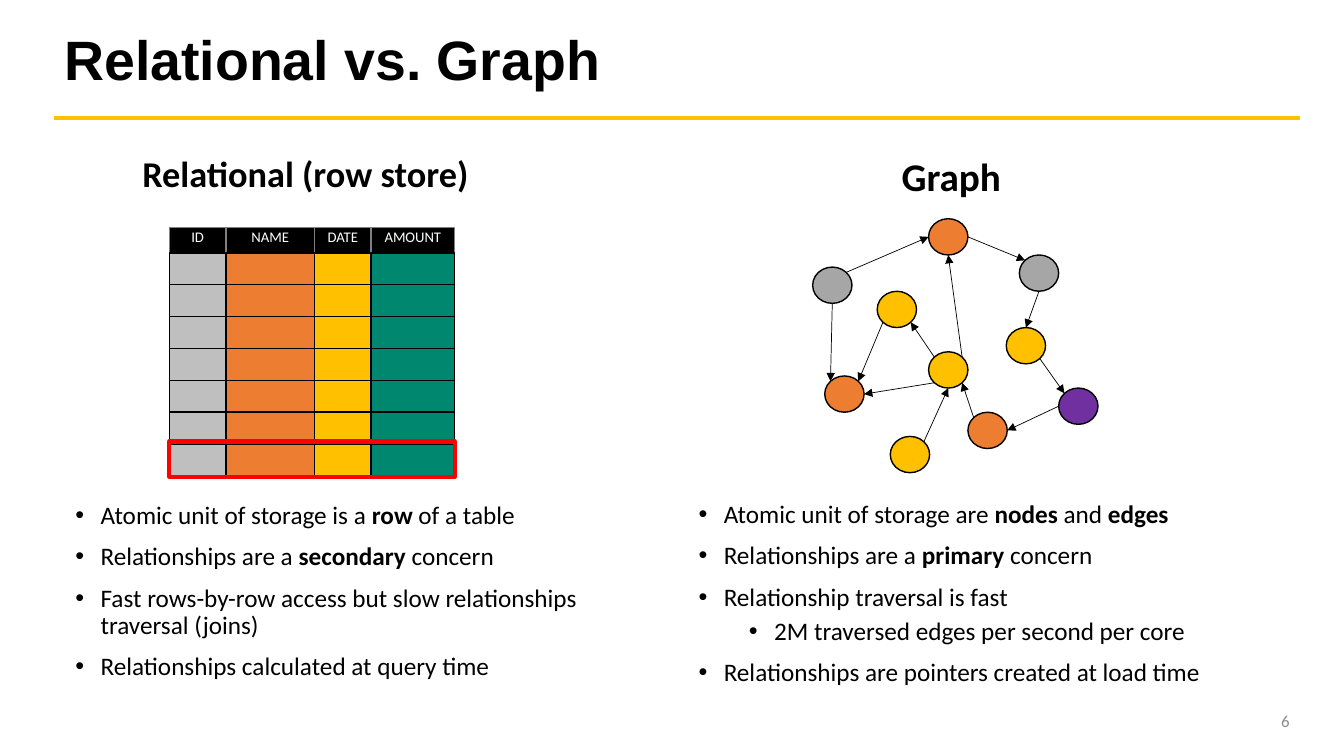
import math

import pptx
import pptx.dml.color
import pptx.enum.shapes
import pptx.enum.text
import pptx.oxml.ns
import pptx.util
from lxml import etree

Inches, Pt = pptx.util.Inches, pptx.util.Pt
SHAPE = pptx.enum.shapes.MSO_SHAPE
ALIGN = pptx.enum.text.PP_ALIGN
ANCHOR = pptx.enum.text.MSO_ANCHOR
qn = pptx.oxml.ns.qn

C = {
    "black": "000000", "white": "FFFFFF", "gold": "FFC000", "orange": "ED7D31",
    "silver": "BFBFBF", "grey": "A6A6A6", "border": "808080", "number": "8C8C8C",
    "green": "008770", "purple": "7030A0", "red": "FF0000",
}


def rgb(name):
    return pptx.dml.color.RGBColor.from_string(C[name])


def add_run(p, text, size, color="black", bold=False, font="Calibri"):
    r = p.add_run()
    r.text = text
    r.font.name, r.font.size, r.font.bold = font, Pt(size), bold
    r.font.color.rgb = rgb(color)


def add_box(s, box, anchor=ANCHOR.TOP):
    tf = s.shapes.add_textbox(*map(Inches, box)).text_frame
    tf.word_wrap = True
    tf.vertical_anchor = anchor
    return tf


def add_shape(s, kind, box, fill, line, width=1):
    sp = s.shapes.add_shape(kind, *map(Inches, box))
    sp.shadow.inherit = False
    if fill:
        sp.fill.solid()
        sp.fill.fore_color.rgb = rgb(fill)
    else:
        sp.fill.background()
    sp.line.color.rgb = rgb(line)
    sp.line.width = Pt(width)
    return sp


def add_line(s, start, end, color, width, arrow=False):
    ln = s.shapes.add_connector(pptx.enum.shapes.MSO_CONNECTOR.STRAIGHT,
                                *map(Inches, (*start, *end)))
    ln.line.color.rgb = rgb(color)
    ln.line.width = Pt(width)
    if arrow:
        etree.SubElement(ln.line._get_or_add_ln(), qn("a:tailEnd"), type="triangle")
    etree.SubElement(ln._element.spPr, qn("a:effectLst"))


def add_heading(s, box, text, size, spacing):
    p = add_box(s, box).paragraphs[0]
    p.alignment, p.line_spacing = ALIGN.CENTER, spacing
    add_run(p, text, size, bold=True)


def add_bullets(s, box, items):
    """Each item is a level and its text pieces; every second piece is bold."""
    tf = add_box(s, box)
    for i, (level, *pieces) in enumerate(items):
        p = tf.paragraphs[0] if i == 0 else tf.add_paragraph()
        p.level = level
        pPr = p._p.get_or_add_pPr()
        pPr.set("marL", str(Inches(0.25 + 0.5 * level)))
        pPr.set("indent", str(Inches(-0.25)))
        etree.SubElement(pPr, qn("a:buFont"), typeface="Arial")
        etree.SubElement(pPr, qn("a:buChar"), char="•")
        p.line_spacing = 0.9
        if i:
            p.space_before = Pt(5 if level else 10)
        for j, piece in enumerate(pieces):
            add_run(p, piece, 18, bold=j % 2 == 1)


def add_frame(s, box):
    # Title, rule and slide number
    x, y, w, h = box
    p = add_box(s, (x, y, w, 0.73), ANCHOR.MIDDLE).paragraphs[0]
    p.line_spacing = 0.9
    add_run(p, "Relational vs. Graph", 39.6, bold=True, font="Arial")
    add_line(s, (x, y + 0.91), (x + w, y + 0.91), "gold", 3)
    p = add_box(s, (x + w - 3, y + h - 0.4, 3, 0.4), ANCHOR.MIDDLE).paragraphs[0]
    p.alignment = ALIGN.RIGHT
    add_run(p, "6", 12, "number")


def add_row_store(s, box):
    # Columns of coloured cells under a black header, last row outlined
    x, y, w, h = box
    header, rows = 0.25, 7
    row = (h - header) / rows
    columns = [("ID", 0.56, "silver"), ("NAME", 0.88, "orange"),
               ("DATE", 0.56, "gold"), ("AMOUNT", 0.83, "green")]
    left = x
    for name, width, color in columns:
        sp = add_shape(s, SHAPE.RECTANGLE, (left, y, width, header), "black", "border")
        tf = sp.text_frame
        tf.margin_top = tf.margin_bottom = 0
        tf.vertical_anchor = ANCHOR.TOP
        tf.word_wrap = False
        tf.paragraphs[0].alignment = ALIGN.CENTER
        add_run(tf.paragraphs[0], name, 10.5, "white")
        for i in range(rows):
            top = y + header + i * row
            add_shape(s, SHAPE.RECTANGLE, (left, top, width, row), color, "black")
        left += width
    add_shape(s, SHAPE.RECTANGLE, (x, y + h - 0.34, w, 0.35), None, "red", 3)


def add_graph(s, box):
    # Nodes, placed by offset from the corner of the box
    x, y = box[:2]
    w, h = 0.39, 0.36
    nodes = {
        "top": (1.15, 0, "orange"), "middle": (0.64, 0.72, "gold"),
        "hub": (1.15, 1.32, "gold"), "east": (2.05, 0.36, "grey"),
        "southeast": (1.92, 1.08, "gold"), "west": (0.12, 1.56, "orange"),
        "south": (1.54, 1.92, "orange"), "northwest": (0, 0.48, "grey"),
        "corner": (2.44, 1.68, "purple"), "bottom": (0.77, 2.16, "gold"),
    }
    for dx, dy, color in nodes.values():
        add_shape(s, SHAPE.OVAL, (x + dx, y + dy, w, h), color, "black")

    # Edges run between compass points on the node outlines
    compass = ["E", "SE", "S", "SW", "W", "NW", "N", "NE"]

    def site(node, point):
        dx, dy, _ = nodes[node]
        a = compass.index(point) * math.pi / 4
        return (x + dx + w / 2 * (1 + math.cos(a)),
                y + dy + h / 2 * (1 + math.sin(a)))

    edges = [
        ("northwest", "NE", "top", "W"), ("top", "E", "east", "NW"),
        ("east", "S", "southeast", "N"), ("southeast", "SE", "corner", "NW"),
        ("corner", "W", "south", "E"), ("south", "NW", "hub", "SE"),
        ("hub", "NW", "middle", "SE"), ("middle", "SW", "west", "NE"),
        ("northwest", "S", "west", "NW"), ("hub", "NE", "top", "S"),
        ("hub", "SW", "west", "E"), ("bottom", "NE", "hub", "S"),
    ]
    for a, a_point, b, b_point in edges:
        add_line(s, site(a, a_point), site(b, b_point), "black", 0.5, arrow=True)


def main():
    prs = pptx.Presentation()
    prs.slide_width, prs.slide_height = Inches(13.33), Inches(7.5)
    s = prs.slides.add_slide(prs.slide_layouts[6])
    add_frame(s, (0.54, 0.26, 12.35, 7.09))

    # Left half: relational
    add_heading(s, (1.2, 1.5, 3.66, 0.51), "Relational (row store)", 25.9, 0.9)
    add_row_store(s, (1.68, 2.26, 2.83, 2.46))
    add_bullets(s, (0.65, 4.94, 5.37, 1.79), [
        (0, "Atomic unit of storage is a ", "row", " of a table"),
        (0, "Relationships are a ", "secondary", " concern"),
        (0, "Fast rows-by-row access but slow relationships traversal (joins)"),
        (0, "Relationships calculated at query time"),
    ])

    # Right half: graph
    add_heading(s, (8.78, 1.55, 1.31, 0.5), "Graph", 28, 0.8)
    add_graph(s, (8.06, 2.17, 2.83, 2.52))
    add_bullets(s, (6.83, 4.93, 5.92, 2.08), [
        (0, "Atomic unit of storage are ", "nodes", " and ", "edges"),
        (0, "Relationships are a ", "primary", " concern"),
        (0, "Relationship traversal is fast"),
        (1, "2M traversed edges per second per core"),
        (0, "Relationships are pointers created at load time"),
    ])
    prs.save("out.pptx")


if __name__ == "__main__":
    main()
